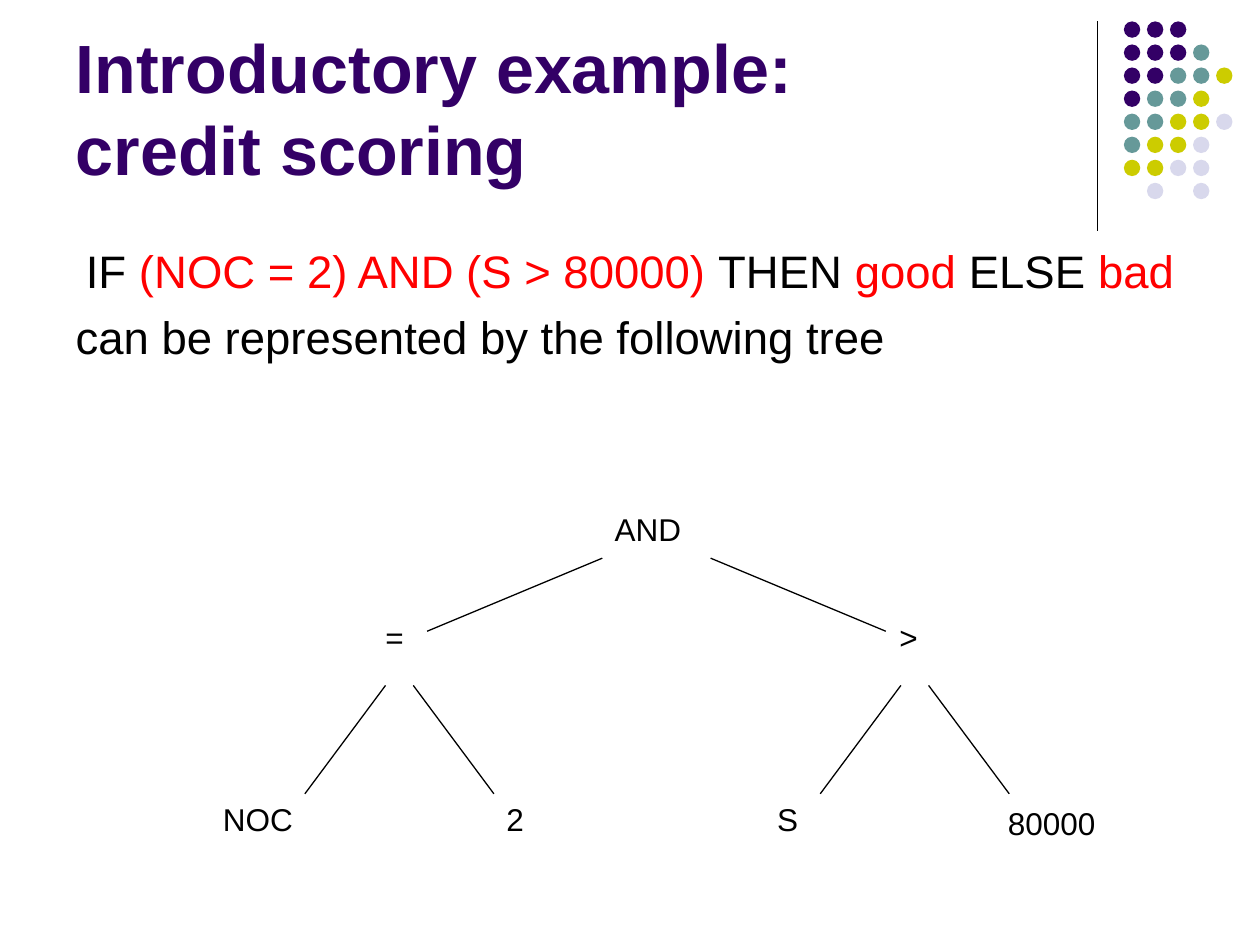
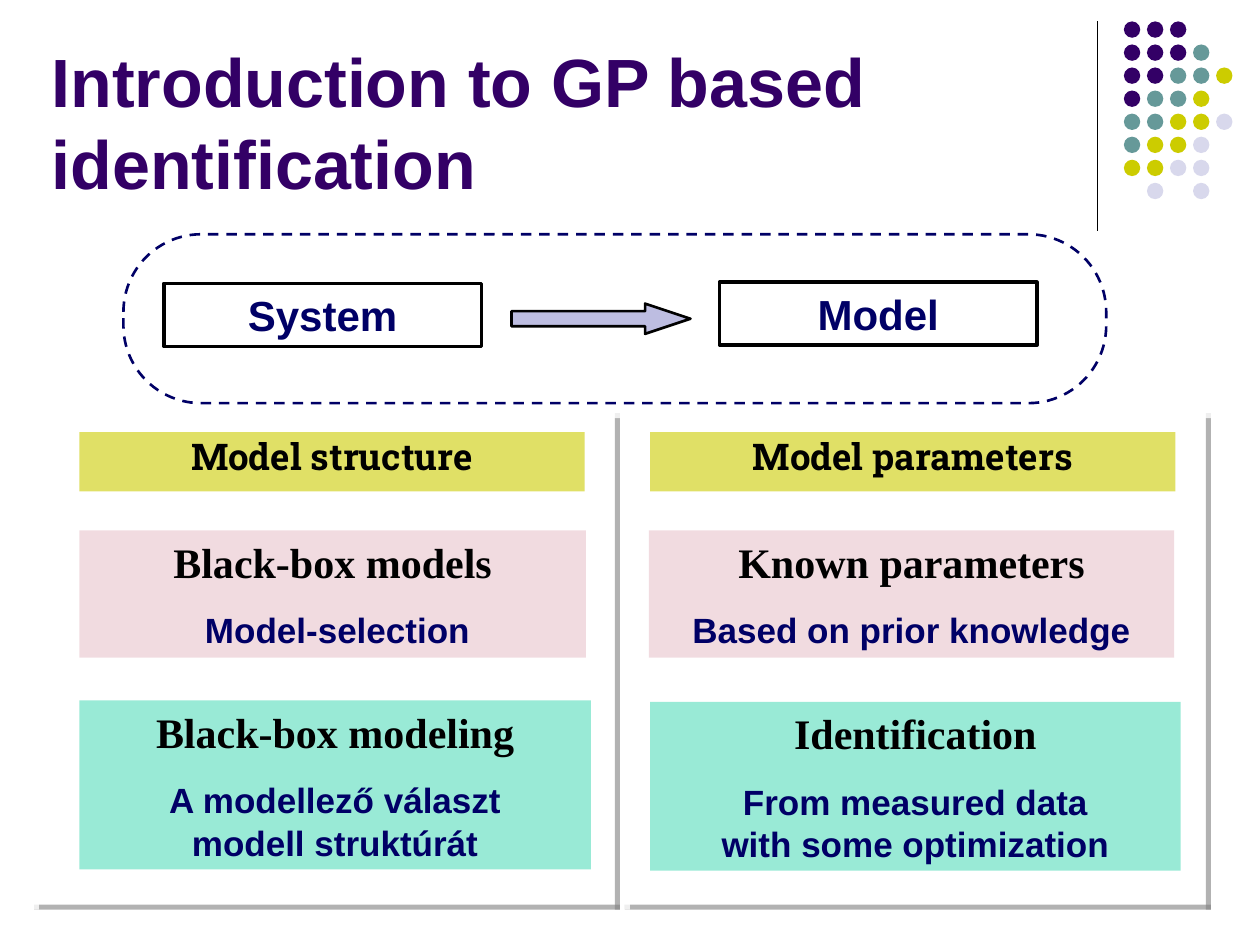
from lxml.etree import SubElement
from pptx import Presentation
from pptx.dml.color import RGBColor
from pptx.enum.dml import MSO_LINE
from pptx.enum.shapes import MSO_CONNECTOR, MSO_SHAPE
from pptx.enum.text import MSO_ANCHOR, MSO_AUTO_SIZE, PP_ALIGN
from pptx.oxml.ns import qn
from pptx.util import Emu, Pt

PX = 9144  # 100 px to the inch

COLORS = {
    "purple": "330066", "teal": "669999", "olive": "CCCC00", "pale": "D8D8EC",
    "black": "000000", "red": "FF0000", "navy": "000066", "lilac": "BDBDE1",
    "pink": "E5B9C3", "mint": "00CC99", "gray": "808080", "white": "FFFFFF",
}
# font, size, colour, bold, alignment, space before, line spacing
STYLES = {
    "title": ("Arial", 39, "purple", True, PP_ALIGN.LEFT, 0, None),
    "rule": ("Arial", 26, "black", False, PP_ALIGN.CENTER, 6.5, None),
    "body": ("Arial", 26, "black", False, PP_ALIGN.LEFT, 6.5, None),
    "node": ("Arial", 18, "black", False, PP_ALIGN.LEFT, 11.2, None),
    "box": ("Arial", 24, "navy", True, PP_ALIGN.CENTER, 15, None),
    "header": ("Roboto Slab", 21, "black", True, PP_ALIGN.CENTER, 5.2, 0.9),
    "heading": ("Times New Roman", 24, "black", True, PP_ALIGN.CENTER, 15, None),
    "detail": ("Arial", 20, "navy", True, PP_ALIGN.CENTER, 12.5, None),
}

# Shared decoration: one letter per dot
DOT_ROWS = ["PPP", "PPPT", "PPTTY", "PTTY", "TTYYL", "TYYL", "YYLL", " L L"]
DOT_COLORS = {"P": "purple", "T": "teal", "Y": "olive", "L": "pale"}
DOT_LEFT, DOT_TOP, DOT_PITCH, DOT_SIZE = 892, 17, 18.3, 13

# Slide 1: credit scoring rule and its tree
RULE = [("IF ", "black"), ("(NOC = 2) AND (S > 80000)", "red"),
        (" THEN ", "black"), ("good", "red"), (" ELSE ", "black"), ("bad", "red")]
RULE_NOTE = "can be represented by the following tree"
NODES = [
    ("AND", 478, 400, 129), ("=", 296, 486, 54), (">", 704, 486, 54),
    ("NOC", 167, 630, 129), ("2", 392, 630, 54), ("S", 607, 630, 54),
    ("80000", 790, 633, 118),
]
# centre x, half spread and y at the top, half spread and y at the bottom
BRANCHES = [(521, 43, 443, 182, 501), (317, 11, 544, 75, 630), (726, 11, 544, 75, 630)]

# Slide 2: system, model and two columns of cards
BOXES = [("System", 130, 225), ("Model", 571, 224)]
CARDS = [  # left, top, width, height, fill, opacity, paragraphs
    (63, 343, 401, 47, "olive", 60, [("Model structure", "header")]),
    (63, 421, 402, 101, "pink", 50,
     [("Black-box models", "heading"), (" Model-selection", "detail")]),
    (63, 556, 406, 134, "mint", 40,
     [("Black-box modeling", "heading"),
      ("A modellező választ\vmodell struktúrát", "detail")]),
    (516, 343, 417, 47, "olive", 60, [("Model parameters", "header")]),
    (515, 421, 417, 101, "pink", 50,
     [("Known parameters", "heading"), ("Based on prior knowledge", "detail")]),
    (516, 557, 421, 134, "mint", 40,
     [("Identification", "heading"),
      ("From measured data\vwith some optimization", "detail")]),
]
FRAME_LEFTS = (27, 496)
FRAME_TOP, FRAME_W, FRAME_H, EDGE = 328, 465, 394, 4


def rgb(name):
    return RGBColor.from_string(COLORS[name])


def px(*values):
    return [Emu(round(v * PX)) for v in values]


def write(tf, paragraphs):
    """Fill a text frame from (text or coloured runs, style) pairs."""
    tf.word_wrap = True
    tf.auto_size = MSO_AUTO_SIZE.NONE
    for i, (content, style) in enumerate(paragraphs):
        font, size, color, bold, align, before, spacing = STYLES[style]
        p = tf.add_paragraph() if i else tf.paragraphs[0]
        runs = [(content, color)] if isinstance(content, str) else content
        if len(runs) == 1:
            p.text = content
        else:
            for text, _ in runs:
                p.add_run().text = text
        p.alignment, p.space_before, p.line_spacing = align, Pt(before), spacing
        for j, r in enumerate(p.runs):
            r.font.name, r.font.size, r.font.bold = font, Pt(size), bold
            r.font.color.rgb = rgb(runs[min(j, len(runs) - 1)][1])


def add_shape(shapes, kind, box, fill=None, opacity=100, line=None, width=1, text=()):
    sp = shapes.add_shape(kind, *px(*box))
    sp.shadow.inherit = False
    if fill:
        sp.fill.solid()
        sp.fill.fore_color.rgb = rgb(fill)
        if opacity < 100:
            clr = sp.fill._xPr.find(".//" + qn("a:srgbClr"))
            SubElement(clr, qn("a:alpha"), val=str(opacity * 1000))
    else:
        sp.fill.background()
    if line:
        sp.line.color.rgb, sp.line.width = rgb(line), Pt(width)
    else:
        sp.line.fill.background()
    if text:
        sp.text_frame.vertical_anchor = MSO_ANCHOR.TOP
        write(sp.text_frame, text)
    return sp


def add_line(shapes, x1, y1, x2, y2):
    c = shapes.add_connector(MSO_CONNECTOR.STRAIGHT, *px(x1, y1, x2, y2))
    c.line.color.rgb, c.line.width = rgb("black"), Pt(0.75)
    SubElement(c.element.spPr, qn("a:effectLst"))
    return c


def add_slide(prs, layout, title, left, top):
    s = prs.slides.add_slide(prs.slide_layouts[layout])
    sp = s.shapes.title
    sp.left, sp.top, sp.width, sp.height = px(left, top, 825, 142)
    sp.text_frame.vertical_anchor = MSO_ANCHOR.BOTTOM
    write(sp.text_frame, [(title, "title")])
    return s


def decorate_master(prs, s):
    """Draw the rule and dots, then move them to the master."""
    rule = add_line(s.shapes, 871, 17, 871, 183)
    dots = s.shapes.add_group_shape()
    for row, letters in enumerate(DOT_ROWS):
        for col, letter in enumerate(letters):
            if letter in DOT_COLORS:
                box = (DOT_LEFT + col * DOT_PITCH, DOT_TOP + row * DOT_PITCH,
                       DOT_SIZE, DOT_SIZE)
                add_shape(dots.shapes, MSO_SHAPE.OVAL, box, DOT_COLORS[letter])
    tree = prs.slide_master.shapes.element
    for part in (rule, dots):
        tree.append(part.element)
    for i, props in enumerate(tree.iter(qn("p:cNvPr")), 1):
        props.set("id", str(i))


def build_scoring(s):
    # Rule in words
    body = s.placeholders[1]
    body.left, body.top, body.width, body.height = px(50, 188, 900, 482)
    write(body.text_frame, [(RULE, "rule"), (RULE_NOTE, "body")])
    for p in body.text_frame.paragraphs:
        pPr = p._p.get_or_add_pPr()
        pPr.set("marL", str(38 * PX))
        pPr.set("indent", str(-38 * PX))
        SubElement(pPr, qn("a:buNone"))
    # Tree
    for text, x, y, w in NODES:
        sp = s.shapes.add_textbox(*px(x, y, w, 40))
        write(sp.text_frame, [(text, "node")])
    for cx, near, y1, far, y2 in BRANCHES:
        for side in (-1, 1):
            add_line(s.shapes, cx + side * near, y1, cx + side * far, y2)


def build_identification(s):
    # System to model
    outline = add_shape(s.shapes, MSO_SHAPE.ROUNDED_RECTANGLE, (98, 186, 780, 134),
                        line="navy", width=1.5)
    outline.adjustments[0] = 0.46
    outline.line.dash_style = MSO_LINE.DASH
    for text, x, y in BOXES:
        add_shape(s.shapes, MSO_SHAPE.RECTANGLE, (x, y, 252, 50),
                  line="black", width=2, text=[(text, "box")])
    arrow = add_shape(s.shapes, MSO_SHAPE.RIGHT_ARROW, (406, 241, 142, 24),
                      "lilac", line="black", width=1.5)
    arrow.adjustments[1] = 1.5
    # Cards
    for *box, fill, opacity, text in CARDS:
        add_shape(s.shapes, MSO_SHAPE.RECTANGLE, box, fill, opacity, text=text)
    # Bevelled frames: gray bottom and right, white top and left
    for x in FRAME_LEFTS:
        right, bottom = x + FRAME_W - EDGE, FRAME_TOP + FRAME_H - EDGE
        for box, fill, opacity in (
            ((x, bottom, FRAME_W, EDGE), "gray", 60),
            ((right, FRAME_TOP, EDGE, FRAME_H), "gray", 60),
            ((x, FRAME_TOP, FRAME_W, EDGE), "white", 80),
            ((x, FRAME_TOP, EDGE, FRAME_H), "white", 80),
        ):
            add_shape(s.shapes, MSO_SHAPE.RECTANGLE, box, fill, opacity)


def main():
    prs = Presentation()
    prs.slide_width, prs.slide_height = px(1000, 750)
    scoring = add_slide(prs, 1, "Introductory example: \vcredit scoring", 50, 13)
    decorate_master(prs, scoring)
    build_scoring(scoring)
    build_identification(
        add_slide(prs, 5, "Introduction to GP based identification", 31, 24))
    prs.save("out.pptx")


if __name__ == "__main__":
    main()
